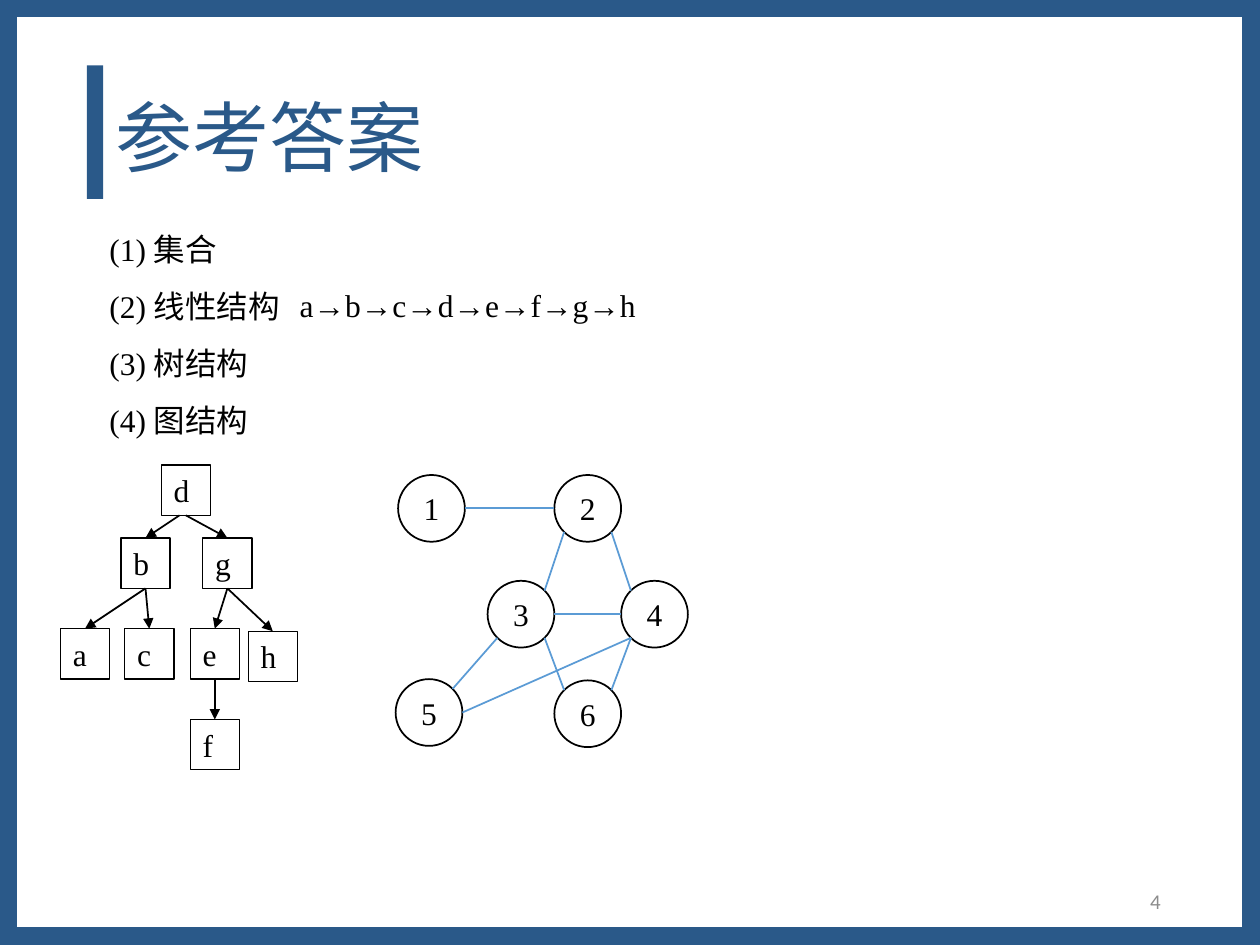
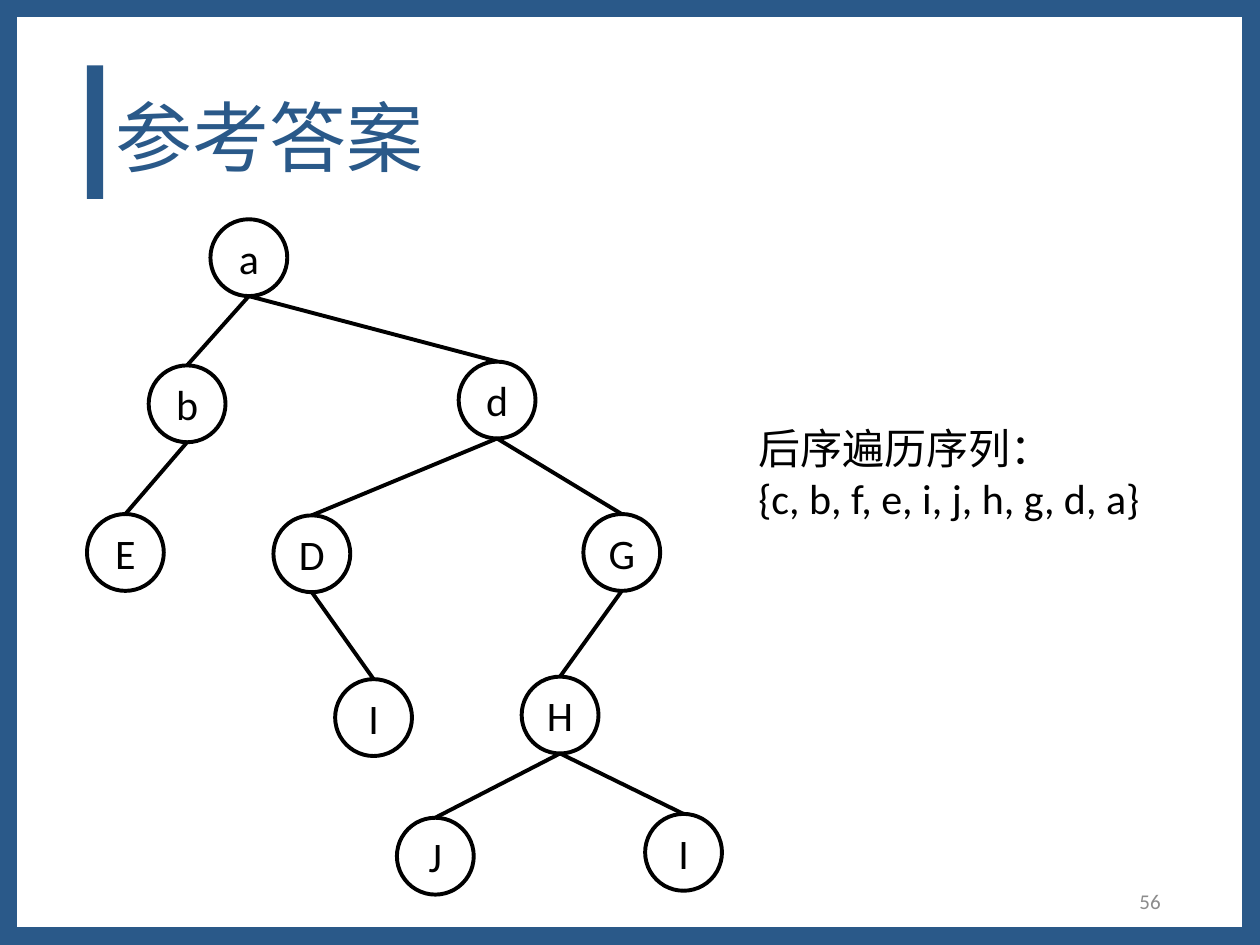
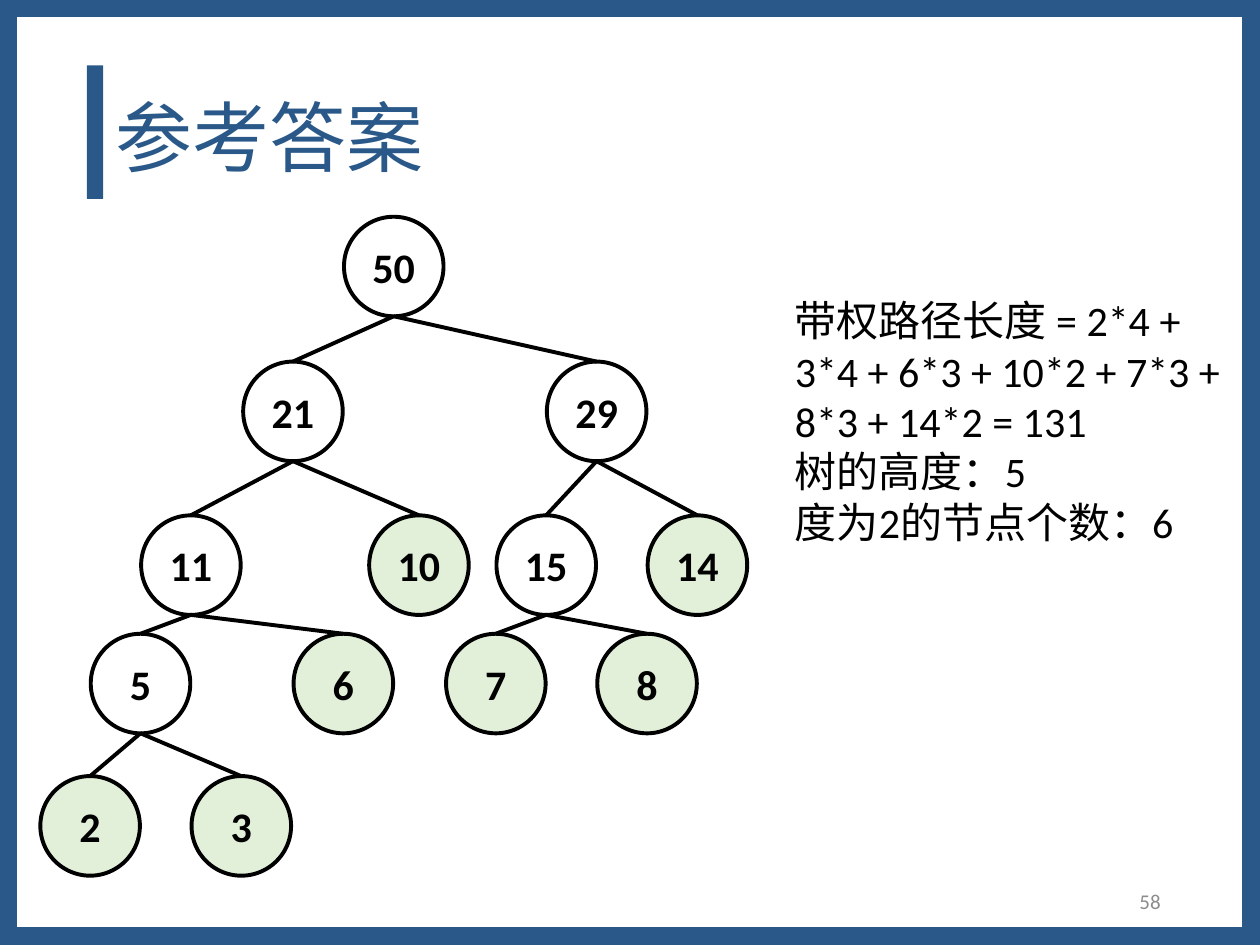
import math

from lxml import etree
from pptx import Presentation
from pptx import util as u
from pptx.dml.color import RGBColor
from pptx.enum import shapes, text
from pptx.oxml.ns import qn

BLUE, EDGE, GREY = "2A5989", "5B9BD5", "8C8C8C"
BLACK, WHITE, LEAF = "000000", "FFFFFF", "E2F0D9"
RECT, OVAL = shapes.MSO_SHAPE.RECTANGLE, shapes.MSO_SHAPE.OVAL
LEFT, CENTER, RIGHT, JUSTIFY = (text.PP_ALIGN.LEFT, text.PP_ALIGN.CENTER,
                                text.PP_ALIGN.RIGHT, text.PP_ALIGN.JUSTIFY)
rgb = RGBColor.from_string


def add_box(s, box, lines=(), size=18, font="Calibri", color=BLACK, kind=None, fill=None,
            line=None, width=1, align=LEFT, middle=False, spacing=None, bold=False):
    """Add a text box, or a preset shape if kind is given."""
    pos = [u.Inches(v) for v in box]
    if kind is None:
        sp = s.shapes.add_textbox(*pos)
    else:
        sp = s.shapes.add_shape(kind, *pos)
        sp.shadow.inherit = False
        if fill:
            sp.fill.solid()
            sp.fill.fore_color.rgb = rgb(fill)
        else:
            sp.fill.background()
        if line:
            sp.line.color.rgb = rgb(line)
            sp.line.width = u.Pt(width)
        else:
            sp.line.fill.background()
    tf = sp.text_frame
    tf.word_wrap = True
    tf.vertical_anchor = text.MSO_ANCHOR.MIDDLE if middle else text.MSO_ANCHOR.TOP
    if kind == OVAL:
        tf.margin_left = tf.margin_right = tf.margin_top = tf.margin_bottom = 0
    for i, words in enumerate(lines):
        p = tf.add_paragraph() if i else tf.paragraphs[0]
        p.text = words
        p.alignment = align
        if spacing:
            p.line_spacing = spacing
        p.font.size, p.font.name, p.font.bold = u.Pt(size), font, bold
        p.font.color.rgb = rgb(color)
    return sp


def add_line(s, start, end, color=BLACK, width=1.0, arrow=False):
    ends = [u.Inches(v) for v in (*start, *end)]
    c = s.shapes.add_connector(shapes.MSO_CONNECTOR.STRAIGHT, *ends)
    c.line.color.rgb = rgb(color)
    c.line.width = u.Pt(width)
    if arrow:
        etree.SubElement(c.line._get_or_add_ln(), qn("a:tailEnd"), type="triangle")
    etree.SubElement(c._element.spPr, qn("a:effectLst"))


prs = Presentation()
prs.slide_width, prs.slide_height = u.Inches(10), u.Inches(7.5)

# Frame, title bar, page number and title on every slide
slides = []
for number in ("4", "56", "58"):
    s = prs.slides.add_slide(prs.slide_layouts[6])
    add_box(s, (0, 0, 10, 7.5), kind=RECT, line=BLUE, width=20)
    add_box(s, (0.69, 0.52, 0.13, 1.06), kind=RECT, fill=BLUE)
    add_box(s, (7.06, 6.95, 2.25, 0.4), [number], 12, color=GREY, align=RIGHT, middle=True)
    add_box(s, (0.82, 0.4, 8.49, 1.45), ["参考答案"], 44, "Arial", BLUE, middle=True, spacing=0.9)
    slides.append(s)

# Slide 1: the four structures
s = slides[0]
SERIF = "Times New Roman"
add_box(s, (0.77, 1.63, 5, 1.92), ["(1) 集合", "(2) 线性结构", "(3) 树结构", "(4) 图结构"],
        font=SERIF, align=JUSTIFY, spacing=1.5)

# Linear sequence, with the arrows in another font
p = add_box(s, (2.28, 2.22, 3.26, 0.4), [""]).text_frame.paragraphs[0]
for ch in "→".join("abcdefgh"):
    r = p.add_run()
    r.text = ch
    r.font.size = u.Pt(18)
    r.font.name = "Arial" if ch == "→" else SERIF
    r.font.color.rgb = rgb(BLACK)

# Tree of boxes: left and top of each
BOX_W, BOX_H = 0.39, 0.4
boxes = {"b": (0.96, 4.27), "d": (1.28, 3.69), "g": (1.61, 4.27), "a": (0.48, 4.99),
         "c": (0.99, 4.99), "e": (1.51, 4.99), "h": (1.97, 5.01), "f": (1.51, 5.71)}
for label, (x, y) in boxes.items():
    add_box(s, (x, y, BOX_W, BOX_H), [label], font=SERIF, kind=RECT, line=BLACK, width=0.75)
for parent, child in ("db", "dg", "ba", "bc", "ge", "gh", "ef"):
    (px, py), (cx, cy) = boxes[parent], boxes[child]
    shift = -0.05 if parent + child == "db" else 0
    add_line(s, (px + BOX_W / 2 + shift, py + BOX_H), (cx + BOX_W / 2, cy), arrow=True)

# Graph: left and top of each vertex; edges leave and arrive at angles (clockwise from right)
D = 0.53
vertices = {"1": (3.16, 3.77), "2": (4.4, 3.77), "3": (3.87, 4.61),
            "4": (4.93, 4.61), "5": (3.14, 5.39), "6": (4.4, 5.4)}
for label, (x, y) in vertices.items():
    add_box(s, (x, y, D, D), [label], font=SERIF, kind=OVAL, line=BLACK, align=CENTER, middle=True)
edges = [("1", 0, "2", 180), ("3", -45, "2", 135), ("4", -135, "2", 45), ("3", 0, "4", 180),
         ("3", 135, "5", -45), ("3", 45, "6", -135), ("6", -45, "4", 135), ("5", 0, "4", 135)]
for a, a_angle, b, b_angle in edges:
    ends = []
    for vertex, angle in ((a, a_angle), (b, b_angle)):
        x, y = vertices[vertex]
        t = math.radians(angle)
        ends.append((x + D / 2 * (1 + math.cos(t)), y + D / 2 * (1 + math.sin(t))))
    add_line(s, *ends, color=EDGE)

# Slides 2 and 3: binary trees as (label, left, top, index of parent, fill)
traversal = [("a", 1.67, 1.74, None, None), ("b", 1.18, 2.9, 0, None), ("d", 3.64, 2.87, 0, None),
             ("E", 0.69, 4.08, 1, None), ("D", 2.17, 4.09, 2, None), ("G", 4.63, 4.08, 2, None),
             ("I", 2.66, 5.39, 4, None), ("H", 4.14, 5.37, 5, None),
             ("J", 3.15, 6.49, 7, None), ("I", 5.12, 6.46, 7, None)]
weights = [("50", 2.73, 1.72, None, None), ("21", 1.93, 2.87, 0, None), ("29", 4.34, 2.87, 0, None),
           ("11", 1.12, 4.09, 1, None), ("10", 2.93, 4.09, 1, LEAF),
           ("15", 3.94, 4.09, 2, WHITE), ("14", 5.14, 4.09, 2, LEAF),
           ("5", 0.72, 5.03, 3, None), ("6", 2.33, 5.03, 3, LEAF),
           ("7", 3.54, 5.03, 5, LEAF), ("8", 4.74, 5.03, 5, LEAF),
           ("2", 0.32, 6.16, 7, LEAF), ("3", 1.52, 6.16, 7, LEAF)]
for s, tree, d, bold in ((slides[1], traversal, 0.61, False), (slides[2], weights, 0.79, True)):
    for label, x, y, parent, fill in tree:
        add_box(s, (x, y, d, d), [label], 24, kind=OVAL, fill=fill, line=BLACK, width=2.25,
                align=CENTER, middle=True, bold=bold)
        if parent is not None:
            px, py = tree[parent][1:3]
            add_line(s, (px + d / 2, py + d), (x + d / 2, y), width=2.25)

# Answers beside the trees
add_box(slides[1], (5.92, 3.3, 3.4, 0.91), ["后序遍历序列：", "{c, b, f, e, i, j, h, g, d, a}"], 24)
add_box(slides[2], (6.21, 2.29, 3.67, 2.12),
        ["带权路径长度 = 2*4 + 3*4 + 6*3 + 10*2 + 7*3 + 8*3 + 14*2 = 131",
         "树的高度：5", "度为2的节点个数：6"], 24)

prs.save("out.pptx")
